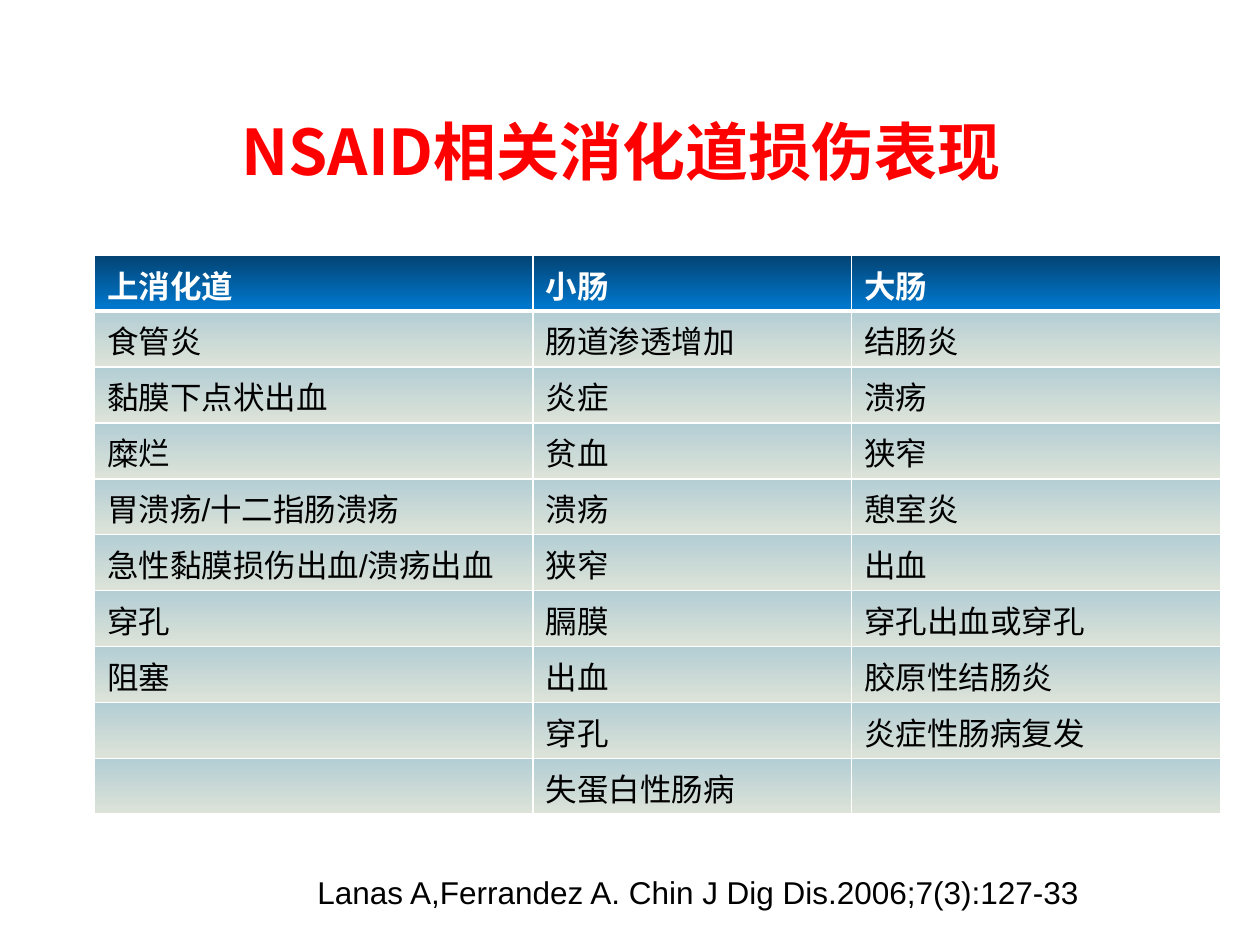
from lxml import etree
from pptx import Presentation
from pptx import util as u
from pptx.dml import color
from pptx.enum import text
from pptx.oxml import ns

COLOURS = {
    "title": "FF0000",
    "body": "000000",
    "white": "FFFFFF",
    "header_bottom": "007BD3",
    "header_top": "034373",
    "row_bottom": "DDE3D8",
    "row_top": "B3CED5",
}
HEADINGS = ["上消化道", "小肠", "大肠"]
FINDINGS = [
    ["食管炎", "肠道渗透增加", "结肠炎"],
    ["黏膜下点状出血", "炎症", "溃疡"],
    ["糜烂", "贫血", "狭窄"],
    ["胃溃疡/十二指肠溃疡", "溃疡", "憩室炎"],
    ["急性黏膜损伤出血/溃疡出血", "狭窄", "出血"],
    ["穿孔", "膈膜", "穿孔出血或穿孔"],
    ["阻塞", "出血", "胶原性结肠炎"],
    ["", "穿孔", "炎症性肠病复发"],
    ["", "失蛋白性肠病", ""],
]


def rgb(name):
    return color.RGBColor.from_string(COLOURS[name])


class SlideBuilder:
    body_font = "Arial"
    title_font = "Noto Sans CJK SC"
    body_size = 18
    title_size = 36

    def __init__(self, presentation):
        self.width = presentation.slide_width
        self.height = presentation.slide_height
        self.slide = presentation.slides.add_slide(presentation.slide_layouts[6])

    def place(self, left, top, width, height):
        return (int(left * self.width), int(top * self.height),
                int(width * self.width), int(height * self.height))

    def add_run(self, paragraph, words, colour, size, font, bold=False):
        run = paragraph.add_run()
        run.text = words
        run.font.name = font
        run.font.size = u.Pt(size)
        run.font.bold = bold
        run.font.color.rgb = rgb(colour)
        return run

    def text_box(self, area, words, colour, size, font, bold=False,
                 align=text.PP_ALIGN.LEFT):
        shape = self.slide.shapes.add_textbox(*self.place(*area))
        shape.text_frame.word_wrap = True
        paragraph = shape.text_frame.paragraphs[0]
        paragraph.alignment = align
        return self.add_run(paragraph, words, colour, size, font, bold)

    def title(self, area, words):
        run = self.text_box(area, words, "title", self.title_size,
                            self.title_font, True, text.PP_ALIGN.CENTER)
        east_asian = etree.SubElement(run.font._element, ns.qn("a:ea"))
        east_asian.set("typeface", self.title_font)

    def citation(self, area, words):
        self.text_box(area, words, "body", self.body_size, self.body_font)

    def borders(self, cell, widths):
        properties = cell._tc.get_or_add_tcPr()
        for side, points in widths.items():
            line = etree.SubElement(properties, ns.qn(f"a:ln{side}"), w=str(u.Pt(points)))
            fill = etree.SubElement(line, ns.qn("a:solidFill"))
            etree.SubElement(fill, ns.qn("a:srgbClr"), val=COLOURS["white"])

    def cell(self, cell, words, header, below_header):
        self.borders(cell, {"L": 1, "R": 1, "T": 3 if below_header else 1,
                            "B": 3 if header else 1})
        kind = "header" if header else "row"
        cell.fill.gradient()
        cell.fill.gradient_angle = 90
        for stop, edge in zip(cell.fill.gradient_stops, ("bottom", "top")):
            stop.color.rgb = rgb(f"{kind}_{edge}")
        paragraph = cell.text_frame.paragraphs[0]
        paragraph.font.size = u.Pt(self.body_size)
        if words:
            self.add_run(paragraph, words, "white" if header else "body",
                         self.body_size, self.body_font, header)

    def table(self, area, column_shares, rows):
        frame = self.slide.shapes.add_table(len(rows), len(column_shares), *self.place(*area))
        table = frame.table
        for column, share in zip(table.columns, column_shares):
            column.width = int(share * self.width)
        for row_index, row in enumerate(rows):
            for column_index, words in enumerate(row):
                self.cell(table.cell(row_index, column_index), words,
                          row_index == 0, row_index == 1)


def main():
    presentation = Presentation()
    presentation.slide_width = u.Inches(10)
    presentation.slide_height = u.Inches(7.5)
    builder = SlideBuilder(presentation)
    builder.title((0.161, 0.112, 0.664, 0.095), "NSAID相关消化道损伤表现")
    builder.table((0.075, 0.27, 0.894, 0.592), (0.348, 0.253, 0.293), [HEADINGS, *FINDINGS])
    builder.citation((0.242, 0.917, 0.695, 0.053),
                     "Lanas A,Ferrandez A. Chin J Dig Dis.2006;7(3):127-33")
    presentation.save("out.pptx")


if __name__ == "__main__":
    main()
